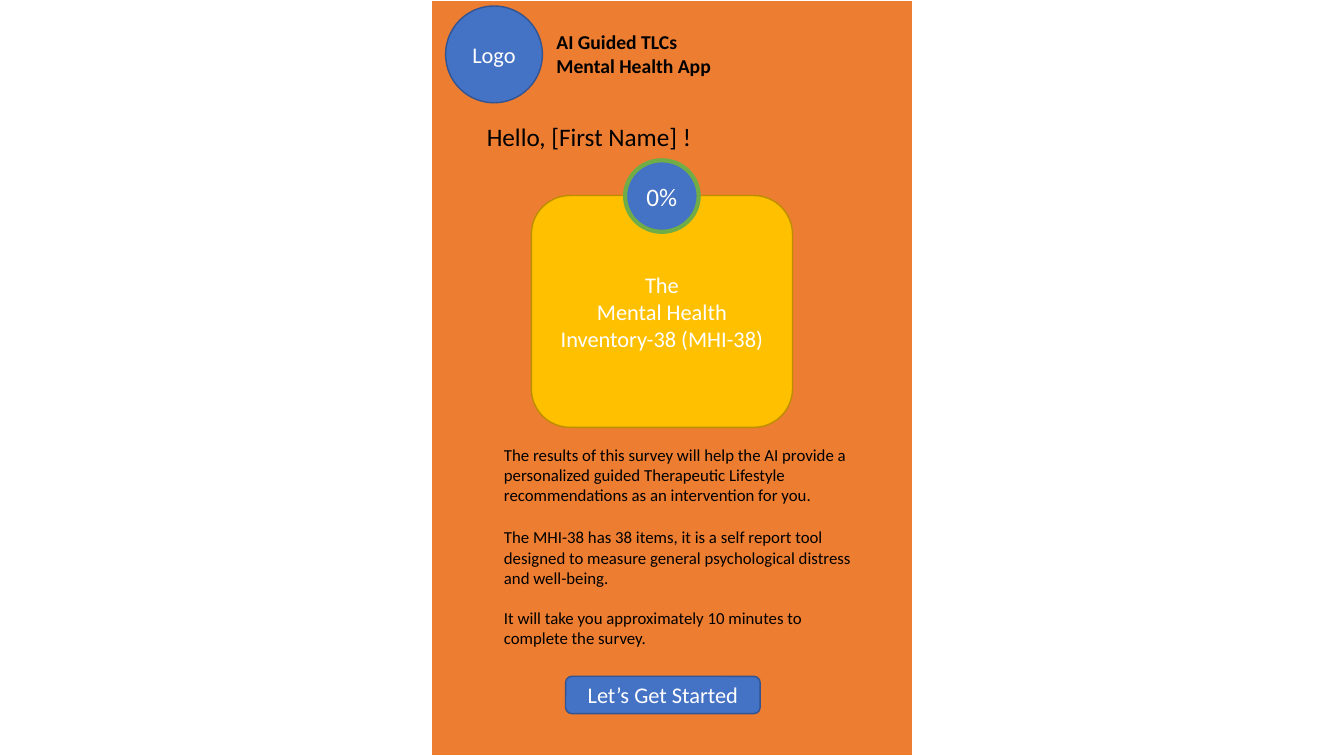
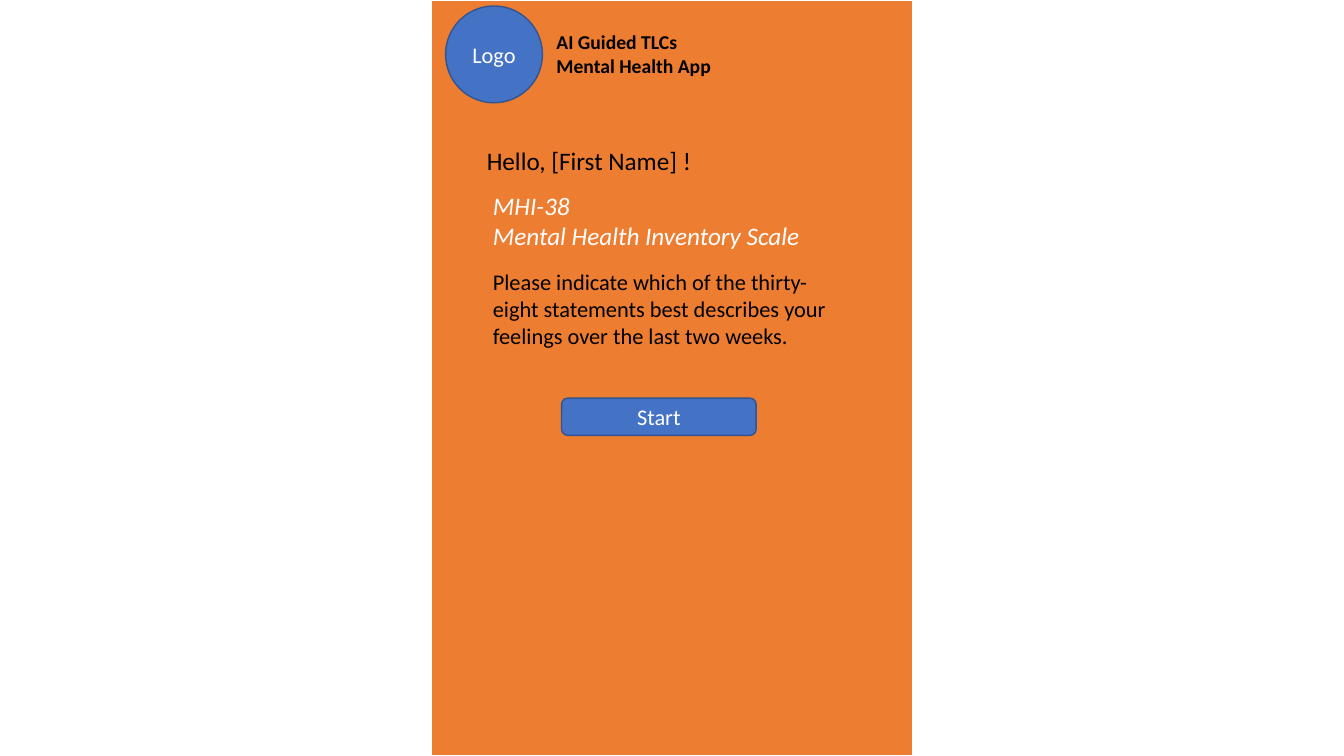
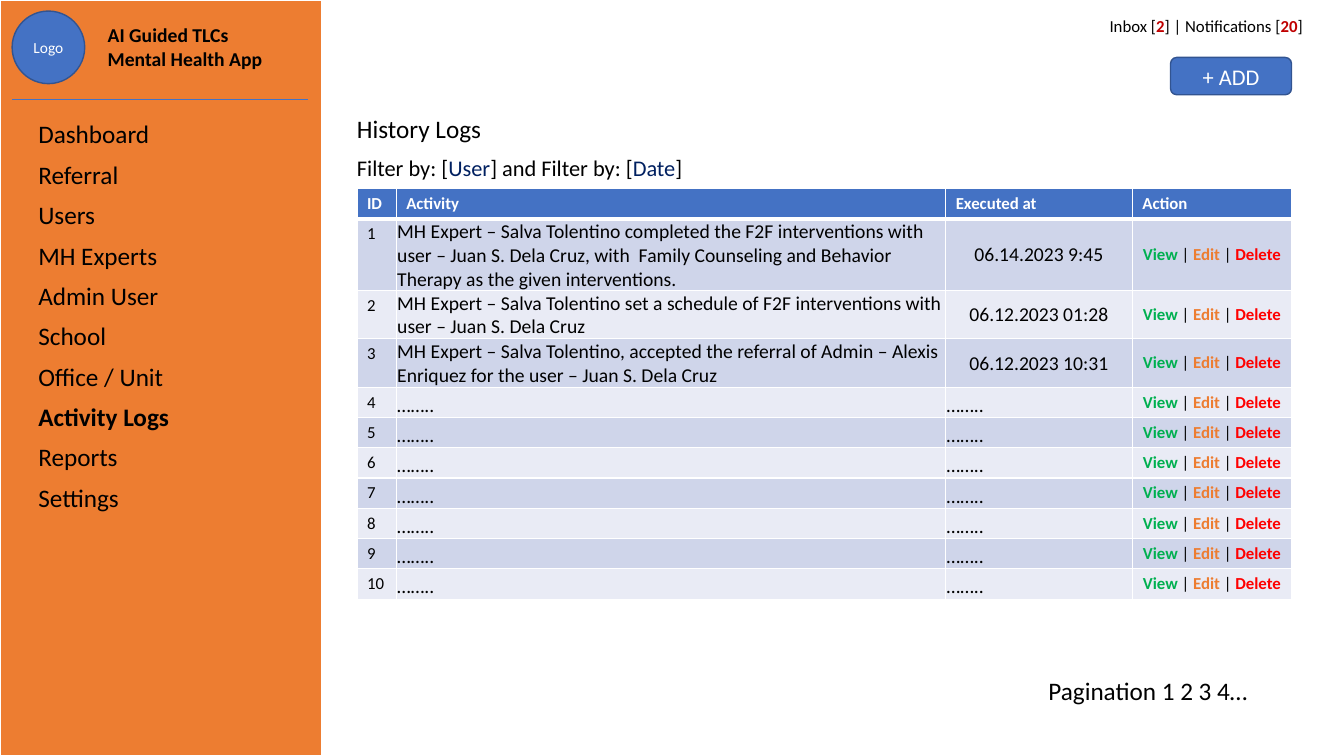
from lxml import etree
from pptx import Presentation
from pptx import util as u
from pptx.dml.color import RGBColor
from pptx.enum import shapes, text
from pptx.oxml import ns

PX = 9144  # EMU per px, 100 px to the inch
FONT = "Calibri"
COLORS = {
    "panel": "ED7D31", "accent": "4472C4", "accent_edge": "325491",
    "card": "FFC000", "card_edge": "BD8E00", "ring": "70AD47",
    "white": "FFFFFF", "black": "000000", "count": "C00000", "filter": "002060",
    "view": "00B050", "edit": "ED7D31", "delete": "FF0000",
    "odd_row": "CFD5EA", "even_row": "E9EBF5",
}
LEFT, CENTER, RIGHT = text.PP_ALIGN.LEFT, text.PP_ALIGN.CENTER, text.PP_ALIGN.RIGHT
TOP, MIDDLE, BOTTOM = text.MSO_ANCHOR.TOP, text.MSO_ANCHOR.MIDDLE, text.MSO_ANCHOR.BOTTOM
RECT, OVAL, ROUNDED = (shapes.MSO_SHAPE.RECTANGLE, shapes.MSO_SHAPE.OVAL,
                       shapes.MSO_SHAPE.ROUNDED_RECTANGLE)
PLAIN_TABLE = "{2D5ABB26-0587-4C30-8999-92F81FD0307C}"

APP_NAME = "AI Guided TLCs Mental Health App"
MENU = ["Dashboard", "Referral", "Users", "MH Experts", "Admin User", "School",
        "Office / Unit", "Activity Logs", "Reports", "Settings"]
CURRENT_PAGE = "Activity Logs"
LOG_HEADINGS = ["ID", "Activity", "Executed at", "Action"]
LOG_WIDTHS = [39, 545, 185, 158]
DOTS = "…….."
LOGS = [
    ("MH Expert – Salva Tolentino completed the F2F interventions with user – Juan S. "
     "Dela Cruz, with  Family Counseling and Behavior Therapy as the given interventions.",
     "06.14.2023 9:45", 71),
    ("MH Expert – Salva Tolentino set a schedule of F2F interventions with user – "
     "Juan S. Dela Cruz", "06.12.2023 01:28", 48),
    ("MH Expert – Salva Tolentino, accepted the referral of Admin – Alexis Enriquez "
     "for the user – Juan S. Dela Cruz", "06.12.2023 10:31", 48),
] + [(DOTS, DOTS, 30)] * 7
ACTIONS = [("View", "view", True), (" | ",), ("Edit", "edit", True), (" | ",),
           ("Delete", "delete", True)]


def rgb(name):
    return RGBColor.from_string(COLORS[name])


def emu(*lengths):
    return [length * PX for length in lengths]


def write(frame, paragraphs, size, color="black", bold=False, italic=False,
          align=LEFT, gap=0):
    """Each paragraph is a string or a list of runs (text, color, bold)."""
    frame.word_wrap = True
    for index, runs in enumerate(paragraphs):
        para = frame.add_paragraph() if index else frame.paragraphs[0]
        para.alignment = align
        if index and gap:
            para.space_before = u.Pt(gap)
        for piece in [(runs,)] if isinstance(runs, str) else runs:
            words, run_color, run_bold = (*piece, color, bold)[:3] if len(piece) == 1 else piece
            run = para.add_run()
            run.text = words
            font = run.font
            font.name, font.size, font.bold, font.italic = FONT, u.Pt(size), run_bold, italic
            font.color.rgb = rgb(run_color)


def label(slide, box, paragraphs, size, flush=False, **style):
    frame = slide.shapes.add_textbox(*emu(*box)).text_frame
    if flush:
        frame.margin_left = 0
    write(frame, paragraphs, size, **style)


def figure(slide, kind, box, fill, edge, edge_width=1, paragraphs=(), size=16):
    shape = slide.shapes.add_shape(kind, *emu(*box))
    shape.shadow.inherit = False
    shape.fill.solid()
    shape.fill.fore_color.rgb = rgb(fill)
    shape.line.color.rgb = rgb(edge)
    shape.line.width = u.Pt(edge_width)
    shape.text_frame.vertical_anchor = MIDDLE
    write(shape.text_frame, paragraphs, size, color="white", align=CENTER)


def panel(slide, box):
    figure(slide, RECT, box, "panel", "white", 1.5)


def button(slide, box, caption):
    figure(slide, ROUNDED, box, "accent", "accent_edge", paragraphs=[caption])


def brand(slide, left, top, diameter, name_offset, logo_size):
    figure(slide, OVAL, (left, top, diameter, diameter), "accent", "accent_edge",
           paragraphs=["Logo"], size=logo_size)
    name_height = 57
    name_top = top + (diameter - name_height) // 2
    label(slide, (left + name_offset, name_top, 183, name_height), [APP_NAME], 14, bold=True)


def plain_table(slide, box, widths, heights):
    table = slide.shapes.add_table(len(heights), len(widths), *emu(*box)).table
    table.first_row = table.horz_banding = False
    table._tbl.tblPr.find(ns.qn("a:tableStyleId")).text = PLAIN_TABLE
    for column, width in zip(table.columns, widths):
        column.width = width * PX
    for row, height in zip(table.rows, heights):
        row.height = height * PX
    return table


def cell_borders(cell, top=1, bottom=1):
    props = cell._tc.get_or_add_tcPr()
    for index, (side, width) in enumerate(zip("LRTB", (1, 1, top, bottom))):
        line = etree.Element(ns.qn("a:ln" + side), w=str(u.Pt(width)))
        solid = etree.SubElement(line, ns.qn("a:solidFill"))
        etree.SubElement(solid, ns.qn("a:srgbClr"), val=COLORS["white"])
        props.insert(index, line)


def fill_cell(cell, fill, runs, size, anchor=TOP, tight=False, top=1, bottom=1, **style):
    cell.fill.solid()
    cell.fill.fore_color.rgb = rgb(fill)
    cell_borders(cell, top, bottom)
    cell.vertical_anchor = anchor
    if tight:
        cell.margin_left = cell.margin_right = cell.margin_top = PX
        cell.margin_bottom = 0
    write(cell.text_frame, [runs], size, **style)


# Phone screens
def phone_screen(slide, box, greeting_top):
    left, top, _, _ = box
    panel(slide, box)
    brand(slide, left + 15, top + 6, 96, 100, 16)
    label(slide, (left + 46, top + greeting_top, 267, 40), ["Hello, [First Name] !"], 18)


def survey_intro(slide, box):
    left, top, _, _ = box
    phone_screen(slide, box, 115)
    # Survey card with progress badge
    figure(slide, ROUNDED, (left + 100, top + 194, 259, 230), "card", "card_edge",
           paragraphs=["The", "Mental Health Inventory-38 (MHI-38)"])
    figure(slide, OVAL, (left + 193, top + 159, 73, 71), "accent", "ring", 3, ["0%"], 18)
    # Explanation
    label(slide, (left + 63, top + 436, 376, 71),
          ["The results of this survey will help the AI provide a personalized guided "
           "Therapeutic Lifestyle recommendations as an intervention for you."], 12)
    label(slide, (left + 63, top + 518, 376, 131),
          ["The MHI-38 has 38 items, it is a self report tool designed to measure general "
           "psychological distress and well-being.",
           "It will take you approximately 10 minutes to complete the survey."], 12, gap=14.6)
    button(slide, (left + 134, top + 671, 193, 37), "Let’s Get Started")


def survey_start(slide, box):
    left, top, _, _ = box
    phone_screen(slide, box, 139)
    label(slide, (left + 52, top + 184, 349, 71),
          ["MHI-38", "Mental Health Inventory Scale"], 18, color="white", italic=True)
    label(slide, (left + 52, top + 261, 376, 91),
          ["Please indicate which of the thirty-eight statements best describes your "
           "feelings over the last two weeks."], 16)
    button(slide, (left + 130, top + 395, 193, 37), "Start")


# Admin page
def sidebar(slide, box):
    left, top, _, _ = box
    panel(slide, box)
    brand(slide, left + 12, top + 11, 72, 85, 11)
    rule_top = top + 99
    divider = slide.shapes.add_connector(
        shapes.MSO_CONNECTOR.STRAIGHT, *emu(left + 12, rule_top, left + 305, rule_top))
    divider.line.color.rgb = rgb("accent")
    divider.line.width = u.Pt(0.5)
    etree.SubElement(divider._element.spPr, ns.qn("a:effectLst"))
    heights = [40] * len(MENU)
    menu = plain_table(slide, (left + 28, top + 114, 264, sum(heights)), [264], heights)
    for cell, item in zip(menu.iter_cells(), MENU):
        write(cell.text_frame, [item], 18, bold=item == CURRENT_PAGE)


def log_table(slide, left, top):
    heights = [30] + [height for _, _, height in LOGS]
    table = plain_table(slide, (left, top, sum(LOG_WIDTHS), sum(heights)),
                        LOG_WIDTHS, heights)
    for col, heading in enumerate(LOG_HEADINGS):
        fill_cell(table.cell(0, col), "accent", heading, 12, bottom=3,
                  color="white", bold=True)
    for row, (activity, executed, _) in enumerate(LOGS, 1):
        fill = "odd_row" if row % 2 else "even_row"
        edge = 3 if row == 1 else 1
        dotted = executed == DOTS
        number, event, date, action = (table.cell(row, col) for col in range(4))
        fill_cell(number, fill, str(row), 12, top=edge)
        fill_cell(event, fill, activity, 14, BOTTOM, tight=True, top=edge)
        fill_cell(date, fill, executed, 14, BOTTOM if dotted else MIDDLE, tight=True,
                  top=edge, align=LEFT if dotted else CENTER)
        fill_cell(action, fill, ACTIONS, 12, MIDDLE, top=edge, align=CENTER)


def history_page(slide, box):
    left, top, _, _ = box
    # Inbox line and add button
    label(slide, (left + 717, top + 11, 266, 30),
          [[("Inbox [",), ("2", "count", True), ("] | Notifications [",),
            ("20", "count", True), ("]",)]], 12, align=RIGHT)
    button(slide, (left + 842, top + 57, 120, 37), "+ ADD")
    # Heading, filters, log
    label(slide, (left + 35, top + 108, 651, 40), ["History Logs"], 18, flush=True)
    label(slide, (left + 35, top + 148, 936, 37),
          [[("Filter by: [",), ("User", "filter", False), ("] and Filter by: [",),
            ("Date", "filter", False), ("]",)]], 16, flush=True)
    log_table(slide, left + 35, top + 187)
    label(slide, (left + 711, top + 665, 260, 40), ["Pagination 1 2 3 4…"], 18)


def main():
    deck = Presentation()
    deck.slide_width, deck.slide_height = u.Inches(13.33), u.Inches(7.5)
    intro, start, history = (deck.slides.add_slide(deck.slide_layouts[6]) for _ in range(3))
    phone = (427, 0, 479, 750)
    survey_intro(intro, phone)
    survey_start(start, phone)
    sidebar(history, (0, 0, 319, 750))
    history_page(history, (319, 0, 1014, 750))
    deck.save("out.pptx")


if __name__ == "__main__":
    main()
